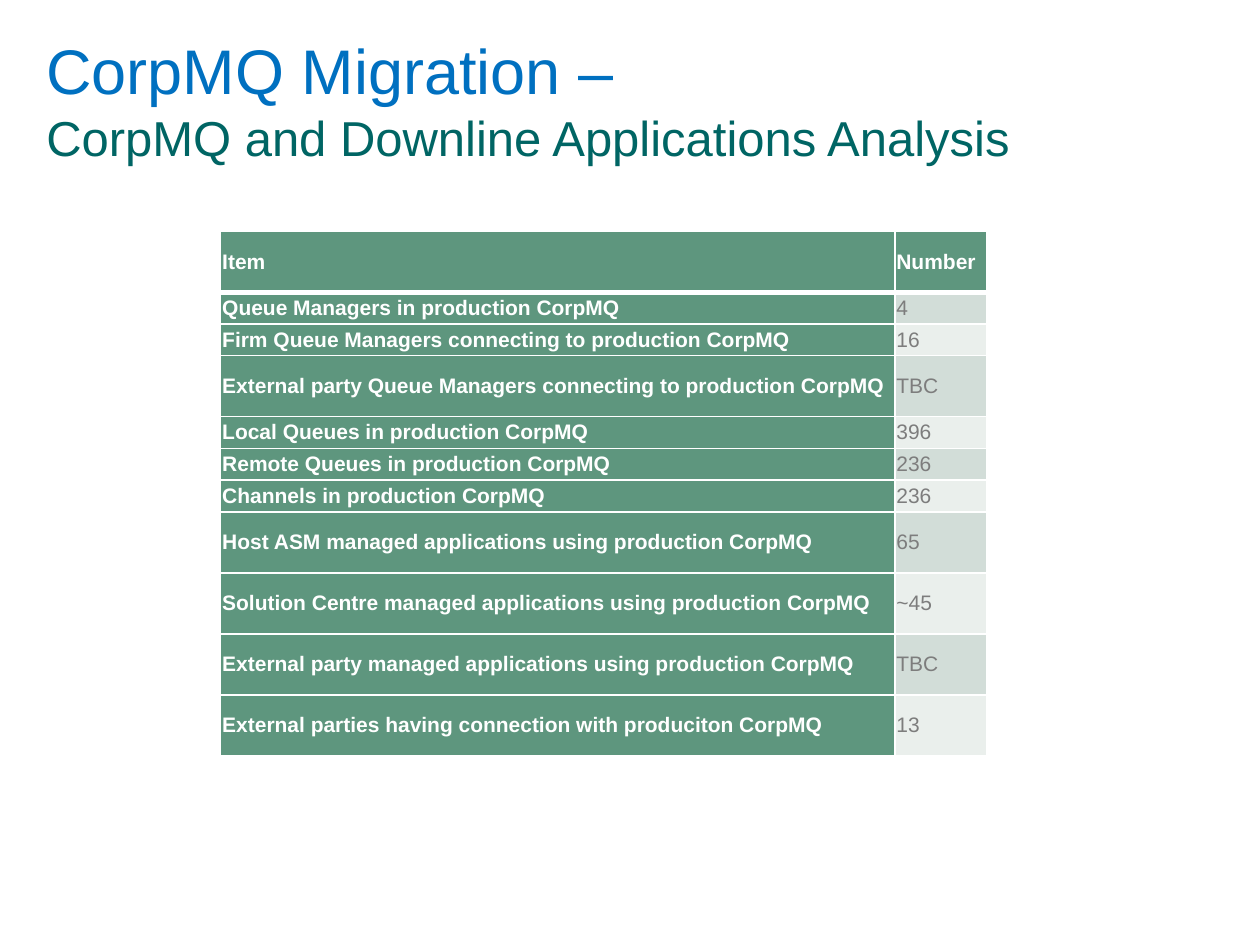
import lxml.etree
import pptx
import pptx.dml.color
import pptx.enum.text
import pptx.oxml.ns
from pptx.util import Cm

ROWS = [
    ("Item", "Number", 1.23),
    ("Queue Managers in production CorpMQ", "4", 0.64),
    ("Firm Queue Managers connecting to production CorpMQ", "16", 0.64),
    ("External party Queue Managers connecting to production CorpMQ", "TBC", 1.23),
    ("Local Queues in production CorpMQ", "396", 0.64),
    ("Remote Queues in production CorpMQ", "236", 0.64),
    ("Channels in production CorpMQ", "236", 0.64),
    ("Host ASM managed applications using production CorpMQ", "65", 1.23),
    ("Solution Centre managed applications using production CorpMQ", "~45", 1.23),
    ("External party managed applications using production CorpMQ", "TBC", 1.23),
    ("External parties having connection with produciton CorpMQ", "13", 1.23),
]
GREEN, WHITE, GREY = "5E967E", "FFFFFF", "7D7D7D"
BANDS = ("EAEFEC", "D2DDD8")


def rgb(value):
    """Turn a hex string into a colour."""
    return pptx.dml.color.RGBColor.from_string(value)


def add_text(p, text, size=12, color=WHITE, bold=False):
    """Add a formatted run to a paragraph."""
    r = p.add_run()
    r.text = text
    r.font.name = "Arial"
    r.font.size = pptx.util.Pt(size)
    r.font.bold = bold
    r.font.color.rgb = rgb(color)


def set_borders(cell, **widths):
    """Draw white cell borders, with widths in points by side."""
    qn = pptx.oxml.ns.qn
    tcPr = cell._tc.get_or_add_tcPr()
    for side in "LRTB":
        width = pptx.util.Pt(widths.get(side, 1))
        ln = lxml.etree.SubElement(tcPr, qn(f"a:ln{side}"), w=str(width))
        fill = lxml.etree.SubElement(ln, qn("a:solidFill"))
        lxml.etree.SubElement(fill, qn("a:srgbClr"), val=WHITE)


def add_title(s):
    """Fill the title placeholder with its two lines."""
    sp = s.shapes.title
    sp.left, sp.top, sp.width, sp.height = Cm(0.68), Cm(0.44), Cm(24.18), Cm(3.1)
    tf = sp.text_frame
    tf.word_wrap = True
    tf.auto_size = pptx.enum.text.MSO_AUTO_SIZE.NONE
    tf.vertical_anchor = pptx.enum.text.MSO_ANCHOR.MIDDLE
    p = tf.paragraphs[0]
    p.alignment = pptx.enum.text.PP_ALIGN.LEFT
    add_text(p, "CorpMQ Migration –", size=36, color="0070C0")
    p.add_line_break()
    add_text(p, "CorpMQ and Downline Applications Analysis", size=28, color="006564")


def fill_cell(cell, text, fill, color, bold, **borders):
    """Format one table cell and write its text."""
    cell.margin_left = cell.margin_right = Cm(0.03)
    cell.margin_top = cell.margin_bottom = Cm(0.03)
    cell.vertical_anchor = pptx.enum.text.MSO_ANCHOR.MIDDLE
    set_borders(cell, **borders)
    cell.fill.solid()
    cell.fill.fore_color.rgb = rgb(fill)
    add_text(cell.text_frame.paragraphs[0], text, color=color, bold=bold)


def add_count_table(s):
    """Add the table of items and their numbers."""
    height = sum(row[-1] for row in ROWS)
    table = s.shapes.add_table(
        len(ROWS), 2, Cm(4.45), Cm(4.66), Cm(15.44), Cm(height)).table
    for column, width in zip(table.columns, (13.59, 1.85)):
        column.width = Cm(width)
    for i, (item, number, row_height) in enumerate(ROWS):
        table.rows[i].height = Cm(row_height)
        borders = {0: {"B": 3}, 1: {"T": 3}}.get(i, {})
        fill_cell(table.cell(i, 0), item, GREEN, WHITE, True, **borders)
        style = (GREEN, WHITE, True) if i == 0 else (BANDS[i % 2], GREY, False)
        fill_cell(table.cell(i, 1), number, *style, **borders)


def main():
    """Build the slide and save it."""
    prs = pptx.Presentation()
    prs.slide_width, prs.slide_height = Cm(25.4), Cm(19.05)
    s = prs.slides.add_slide(prs.slide_layouts.get_by_name("Title Only"))
    add_count_table(s)
    add_title(s)
    prs.save("out.pptx")


if __name__ == "__main__":
    main()
